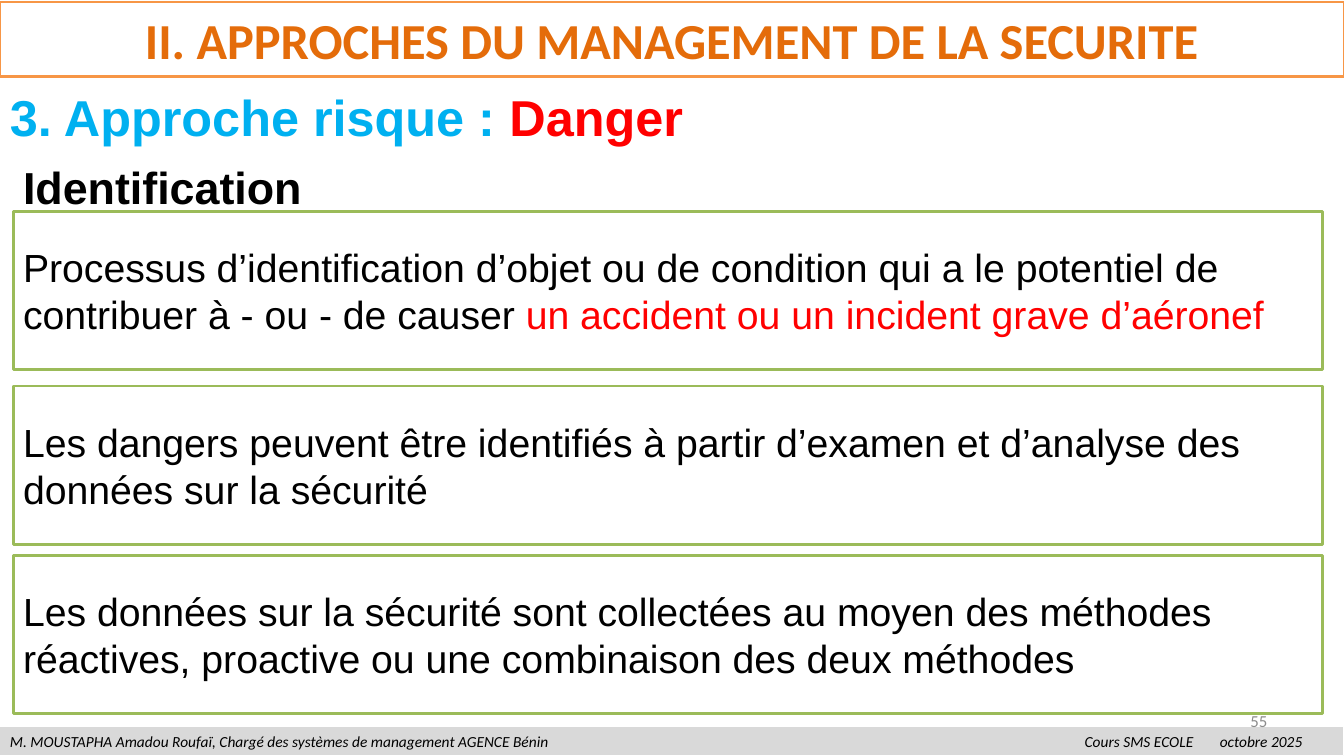
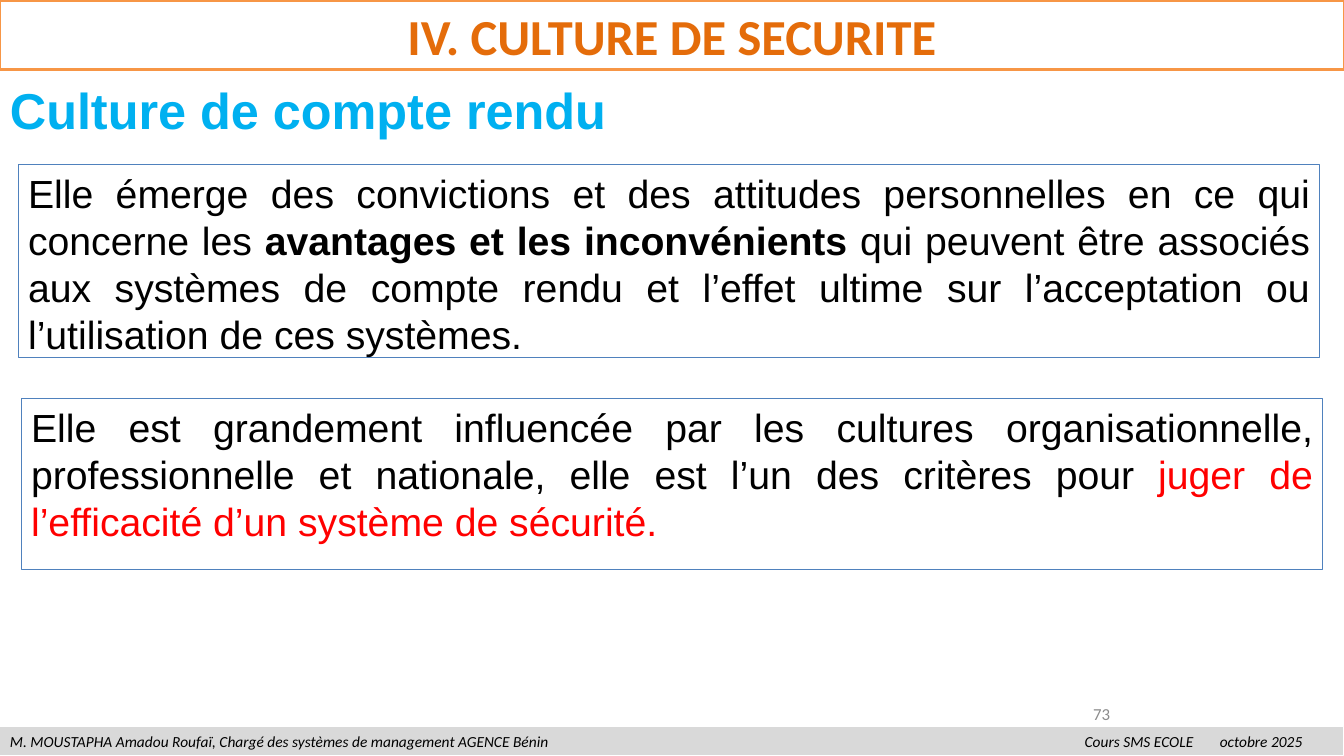
from lxml.etree import SubElement
from pptx import Presentation
from pptx.dml.color import RGBColor
from pptx.enum.shapes import MSO_SHAPE
from pptx.enum.text import MSO_ANCHOR, MSO_AUTO_SIZE, PP_ALIGN
from pptx.oxml.ns import qn
from pptx.util import Emu, Pt

PX = 9144  # 100 px to the inch
W, H = 1333, 750
COLORS = {
    "white": "FFFFFF", "black": "000000", "red": "FF0000", "blue": "00B0F0",
    "title": "E46C0A", "title_line": "F79646", "green_line": "9BBB59",
    "blue_line": "4F81BD", "footer": "D9D9D9", "number": "8C8C8C",
}
FOOTER_TEXT = ("M. MOUSTAPHA Amadou Roufaï, Chargé des systèmes de management AGENCE Bénin"
               "\tCours SMS ECOLE\toctobre 2025")
FOOTER_TABS = (1066, 1200)


def px(*lengths):
    return [Emu(n * PX) for n in lengths]


def rgb(name):
    return RGBColor.from_string(COLORS[name])


def write(shape, runs, size=28, font="Arial", color="black", bold=False, italic=False,
          align=PP_ALIGN.LEFT, anchor=MSO_ANCHOR.TOP):
    """Write one paragraph; a run is a string or (string, overrides of color and bold)."""
    tf = shape.text_frame
    tf.word_wrap = True
    tf.auto_size = MSO_AUTO_SIZE.NONE
    tf.vertical_anchor = anchor
    p = tf.paragraphs[0]
    p.alignment = align
    for run in [runs] if isinstance(runs, str) else runs:
        text, own = (run, {}) if isinstance(run, str) else run
        r = p.add_run()
        r.text = text
        r.font.name, r.font.size, r.font.italic = font, Pt(size), italic
        r.font.bold = own.get("bold", bold)
        r.font.color.rgb = rgb(own.get("color", color))
    return p


def outline(shape, line, width, fill=None):
    if fill:
        shape.fill.solid()
        shape.fill.fore_color.rgb = rgb(fill)
    else:
        shape.fill.background()
    shape.line.color.rgb = rgb(line)
    shape.line.width = Pt(width)


def add_text(s, box, runs, **fmt):
    write(s.shapes.add_textbox(*px(*box)), runs, **fmt)


def add_panel(s, box, runs, line, width, fill=None, **fmt):
    sp = s.shapes.add_shape(MSO_SHAPE.RECTANGLE, *px(*box))
    sp.shadow.inherit = False
    outline(sp, line, width, fill)
    return write(sp, runs, **fmt)


def add_footer(s, box):
    p = add_panel(s, box, FOOTER_TEXT, "white", 0.75, "footer",
                  size=11, font="Calibri", italic=True)
    tabs = SubElement(p._p.get_or_add_pPr(), qn("a:tabLst"))
    for pos in FOOTER_TABS:
        SubElement(tabs, qn("a:tab"), pos=str(pos * PX), algn="l")


def add_title(s, box, text):
    title = s.shapes.title
    title.left, title.top, title.width, title.height = px(*box)
    outline(title, "title_line", 2, "white")
    write(title, text, size=36, font="Calibri", color="title", bold=True,
          align=PP_ALIGN.CENTER, anchor=MSO_ANCHOR.MIDDLE)


def add_base(prs, title, title_box, heading, heading_top, number, number_box):
    """Add a slide with the title band, heading, page number and footer."""
    s = prs.slides.add_slide(prs.slide_layouts[5])
    add_footer(s, (0, 721, W, 29))
    add_title(s, title_box, title)
    add_text(s, (0, heading_top, 840, 71), heading, size=36, color="blue", bold=True)
    add_text(s, number_box, number, size=12, font="Calibri", color="number",
             align=PP_ALIGN.RIGHT, anchor=MSO_ANCHOR.MIDDLE)
    return s


def add_danger_slide(prs):
    s = add_base(prs, "II. APPROCHES DU MANAGEMENT DE LA SECURITE", (0, 2, W, 74),
                 ["3. Approche risque : ", ("Danger", {"color": "red"})], 80,
                 "55", (956, 695, 311, 40))
    add_text(s, (13, 154, 622, 64), "Identification", size=32, bold=True)
    panels = [
        (210, ["Processus d’identification d’objet ou de condition qui a le potentiel de "
               "contribuer à - ou - de causer ",
               ("un accident ou un incident grave d’aéronef", {"color": "red"})]),
        (383, "Les dangers peuvent être identifiés à partir d’examen et d’analyse des "
              "données sur la sécurité"),
        (551, "Les données sur la sécurité sont collectées au moyen des méthodes "
              "réactives, proactive ou une combinaison des deux méthodes"),
    ]
    for top, runs in panels:
        add_panel(s, (13, top, 1299, 157), runs, "green_line", 2, "white",
                  anchor=MSO_ANCHOR.MIDDLE)


def add_culture_slide(prs):
    s = add_base(prs, "IV. CULTURE DE SECURITE", (0, 1, W, 68),
                 "Culture de compte rendu", 74, "73", (878, 688, 233, 40))
    panels = [
        ((18, 163, 1291, 192),
         ["Elle émerge des convictions et des attitudes personnelles en ce qui concerne les ",
          ("avantages et les inconvénients", {"bold": True}),
          " qui peuvent être associés aux systèmes de compte rendu et l’effet ultime sur "
          "l’acceptation ou l’utilisation de ces systèmes."]),
        ((21, 395, 1291, 170),
         ["Elle est grandement influencée par les cultures organisationnelle, "
          "professionnelle et nationale, elle est l’un des critères pour ",
          ("juger de l’efficacité d’un système de sécurité.", {"color": "red"})]),
    ]
    for box, runs in panels:
        add_panel(s, box, runs, "blue_line", 0.75, align=PP_ALIGN.JUSTIFY)


def main():
    prs = Presentation()
    prs.slide_width, prs.slide_height = px(W, H)
    add_danger_slide(prs)
    add_culture_slide(prs)
    prs.save("out.pptx")


if __name__ == "__main__":
    main()
